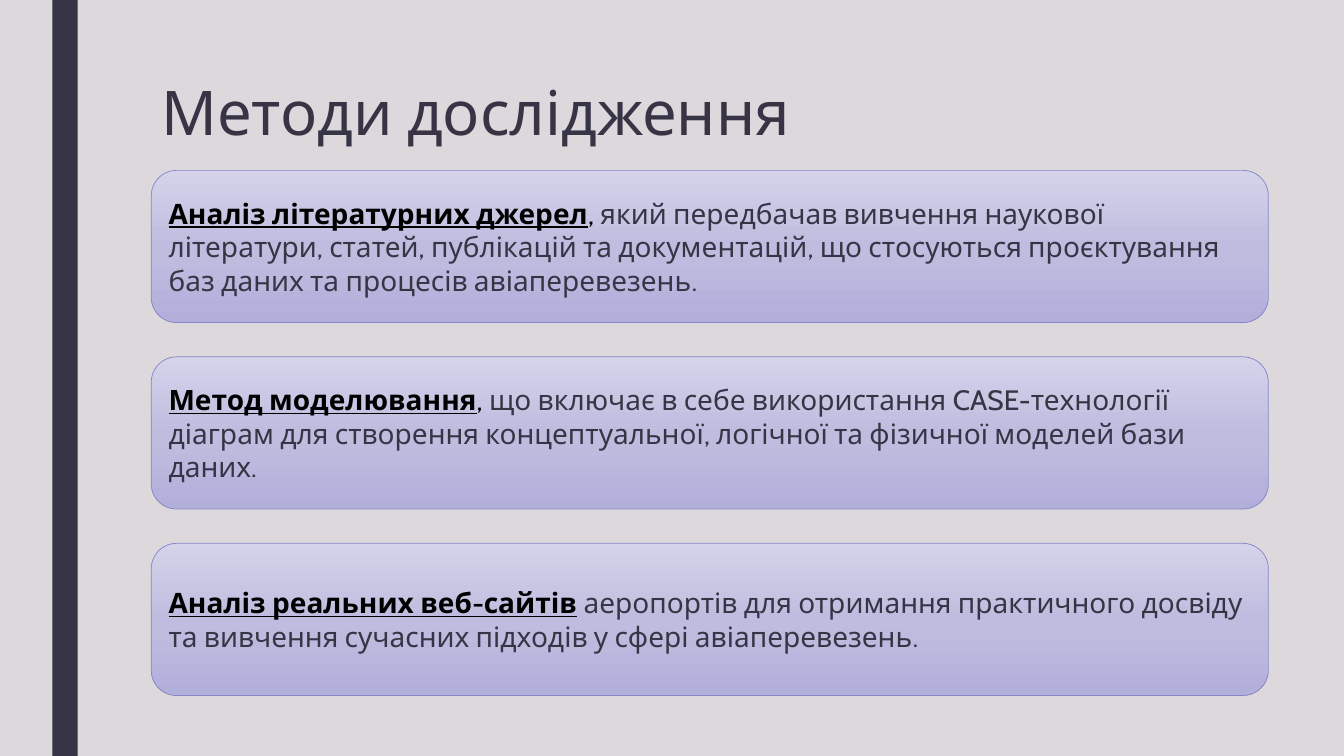
from copy import deepcopy

from pptx import Presentation
from pptx.dml.color import RGBColor
from pptx.enum.shapes import MSO_SHAPE
from pptx.enum.text import MSO_ANCHOR, PP_ALIGN
from pptx.oxml.ns import qn
from pptx.util import Inches, Pt

RECTANGLE = MSO_SHAPE.RECTANGLE
ROUNDED = MSO_SHAPE.ROUNDED_RECTANGLE
MIDDLE = MSO_ANCHOR.MIDDLE
LEFT = PP_ALIGN.LEFT

FONT = "Cabin"
BACKGROUND = RGBColor(0xDC, 0xD8, 0xDC)
DARK = RGBColor(0x37, 0x35, 0x45)
BLACK = RGBColor(0x00, 0x00, 0x00)
CARD_LINE = RGBColor(0x87, 0x84, 0xC7)
CARD_GRADIENT = [
    (0, RGBColor(0xD4, 0xD3, 0xEA)),
    (0.5, RGBColor(0xBF, 0xBD, 0xDF)),
    (1, RGBColor(0xB2, 0xB0, 0xDB)),
]

METHODS = [
    ("Аналіз літературних джерел", ", ",
     "який передбачав вивчення наукової літератури, статей, публікацій та "
     "документацій, що стосуються проєктування баз даних та процесів "
     "авіаперевезень."),
    ("Метод моделювання", ", ",
     "що включає в себе використання CASE-технології діаграм для створення "
     "концептуальної, логічної та фізичної моделей бази даних."),
    ("Аналіз реальних веб-сайтів", " ",
     "аеропортів для отримання практичного досвіду та вивчення сучасних "
     "підходів у сфері авіаперевезень."),
]


def add_run(paragraph, text, size, color, emphasis=False):
    run = paragraph.add_run()
    run.text = text
    run.font.name = FONT
    run.font.size = Pt(size)
    run.font.color.rgb = color
    run.font.bold = emphasis
    run.font.underline = emphasis


prs = Presentation()
prs.slide_width = Inches(13.33)
prs.slide_height = Inches(7.5)
slide = prs.slides.add_slide(prs.slide_layouts[5])
slide.background.fill.solid()
slide.background.fill.fore_color.rgb = BACKGROUND

# Side stripe
stripe = slide.shapes.add_shape(
    RECTANGLE, Inches(0.52), 0, Inches(0.25), prs.slide_height)
stripe.shadow.inherit = False
stripe.fill.solid()
stripe.fill.fore_color.rgb = DARK
stripe.line.fill.background()

# Title
title = slide.shapes.title
title.left, title.top = Inches(1.5), Inches(0.75)
title.width, title.height = Inches(10.5), Inches(0.8)
title.text_frame.vertical_anchor = MIDDLE
heading = title.text_frame.paragraphs[0]
heading.alignment = LEFT
heading.line_spacing = 0.89
add_run(heading, "Методи дослідження", 44, DARK)

# Method cards
for row, (method, separator, description) in enumerate(METHODS):
    card = slide.shapes.add_shape(
        ROUNDED, Inches(1.5), Inches(1.69 + 1.85 * row),
        Inches(11.08), Inches(1.51))
    card.shadow.inherit = False
    card.line.color.rgb = CARD_LINE
    card.line.width = Pt(0.5)

    # The default gradient has two stops; a third is added
    card.fill.gradient()
    card.fill.gradient_angle = 270
    stop_list = card._element.spPr.find(qn("a:gradFill")).find(qn("a:gsLst"))
    stop_list.append(deepcopy(stop_list[0]))
    for stop, (position, color) in zip(card.fill.gradient_stops, CARD_GRADIENT):
        stop.position = position
        stop.color.rgb = color

    card.text_frame.word_wrap = True
    card.text_frame.vertical_anchor = MIDDLE
    paragraph = card.text_frame.paragraphs[0]
    paragraph.alignment = LEFT
    add_run(paragraph, method, 20, BLACK, emphasis=True)
    add_run(paragraph, separator, 20, BLACK)
    add_run(paragraph, description, 20, DARK)

prs.save("out.pptx")
